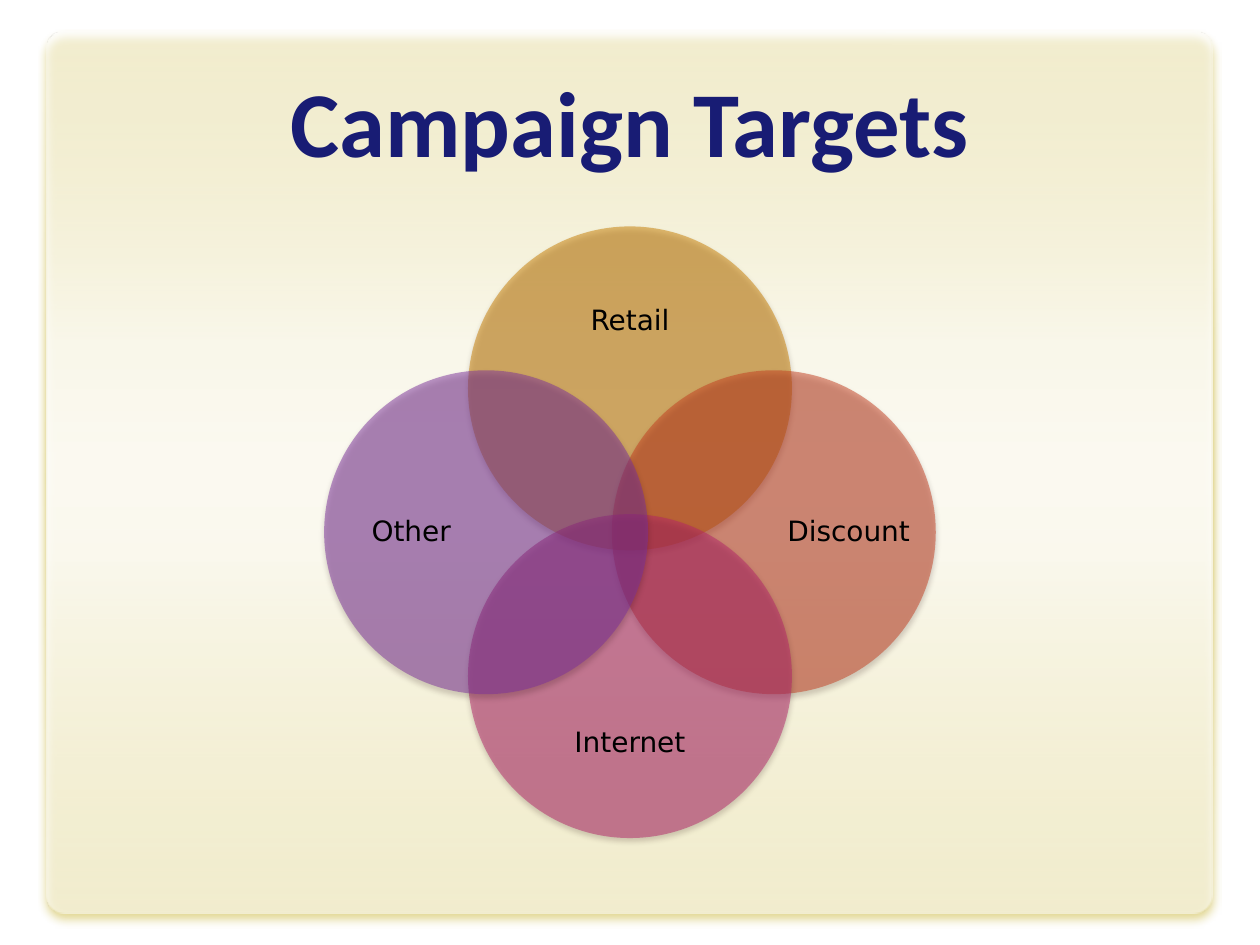
import pptx
import pptx.util
import pptx.dml.color
import pptx.enum.shapes
import pptx.enum.text
import pptx.oxml
import pptx.oxml.ns
from lxml import etree
from dataclasses import dataclass

Cm, Pt = pptx.util.Cm, pptx.util.Pt
RGB = pptx.dml.color.RGBColor.from_string
SHAPE = pptx.enum.shapes.MSO_SHAPE
ALIGN = pptx.enum.text.PP_ALIGN
ANCHOR = pptx.enum.text.MSO_ANCHOR
qn = pptx.oxml.ns.qn


@dataclass
class Theme:
    title_font: str = "Calibri"
    label_font: str = "DejaVu Sans"
    title_size: int = 53
    label_size: int = 16
    title: str = "181C74"
    label: str = "000000"
    panel: str = "FFFFFF"
    panel_shadow: tuple = ("C5AF25", 90, 5, 3.6)
    circle_shadow: tuple = ("1A0000", 35, 3.1, 2)
    circle_alpha: int = 50


# Content: label, colour, direction from the centre
TITLE = "Campaign Targets"
TARGETS = [
    ("Retail", "C77D00", (0, -1)),
    ("Discount", "C43D1F", (1, 0)),
    ("Internet", "B42469", (0, 1)),
    ("Other", "7B309B", (-1, 0)),
]
PANEL_STOPS = [(0, 50), (35, 87), (50, 92), (60, 89), (100, 55)]  # position, opacity

# Diagram geometry in cm
CENTER = (12.7, 10.73)
DIAMETER = 6.53
CIRCLE_OFFSET = 2.9
LABEL_OFFSET = (4.41, 4.25)
LABEL_LONG, LABEL_FLAT, LABEL_NARROW = 5.03, 2.08, 2.51

theme = Theme()


def set_alpha(color, percent):
    etree.SubElement(color, qn("a:alpha"), val=str(percent * 1000))


def add_shadow(sp, color, alpha, blur, dist):
    sp.shadow.inherit = False
    effects = sp._element.spPr.find(qn("a:effectLst"))
    shadow = etree.SubElement(effects, qn("a:outerShdw"), blurRad=str(Pt(blur)),
                              dist=str(Pt(dist)), dir="5400000",
                              algn="ctr", rotWithShape="0")
    set_alpha(etree.SubElement(shadow, qn("a:srgbClr"), val=color), alpha)


def centered(cx, cy, w, h):
    return Cm(cx - w / 2), Cm(cy - h / 2), Cm(w), Cm(h)


def write(tf, text, font, size, color, bold=False):
    tf.word_wrap = True
    tf.vertical_anchor = ANCHOR.MIDDLE
    p = tf.paragraphs[0]
    p.alignment = ALIGN.CENTER
    r = p.add_run()
    r.text = text
    r.font.name, r.font.size, r.font.bold = font, Pt(size), bold
    r.font.color.rgb = RGB(color)
    return p


def add_panel(s):
    sp = s.shapes.add_shape(SHAPE.ROUNDED_RECTANGLE, Cm(0.95), Cm(0.64), Cm(23.5), Cm(17.78))
    sp.adjustments[0] = 0.022
    sp.line.fill.background()
    sp.fill.gradient()
    sp.fill.gradient_angle = 270
    stops = sp._element.spPr.find(qn("a:gradFill")).find(qn("a:gsLst"))
    for stop in list(stops):
        stops.remove(stop)
    for pos, alpha in PANEL_STOPS:
        stop = etree.SubElement(stops, qn("a:gs"), pos=str(pos * 1000))
        set_alpha(etree.SubElement(stop, qn("a:srgbClr"), val=theme.panel), alpha)
    add_shadow(sp, *theme.panel_shadow)
    return sp


def add_target(group, text, color, direction):
    dx, dy = direction
    cx, cy = CENTER
    sp = group.shapes.add_shape(SHAPE.OVAL, *centered(
        cx + dx * CIRCLE_OFFSET, cy + dy * CIRCLE_OFFSET, DIAMETER, DIAMETER))
    sp.fill.solid()
    sp.fill.fore_color.rgb = RGB(color)
    set_alpha(sp._element.spPr.find(qn("a:solidFill"))[0], theme.circle_alpha)
    sp.line.fill.background()
    add_shadow(sp, *theme.circle_shadow)

    w, h = (LABEL_NARROW, LABEL_LONG) if dx else (LABEL_LONG, LABEL_FLAT)
    tb = group.shapes.add_textbox(*centered(
        cx + dx * LABEL_OFFSET[0], cy + dy * LABEL_OFFSET[1], w, h))
    tf = tb.text_frame
    tf.margin_left = tf.margin_right = tf.margin_top = tf.margin_bottom = 0
    p = write(tf, text, theme.label_font, theme.label_size, theme.label)
    p.line_spacing = 0.9


prs = pptx.Presentation()
prs.slide_width, prs.slide_height = Cm(25.4), Cm(19.05)
s = prs.slides.add_slide(prs.slide_layouts[5])

# Title, with the panel behind it
title = s.shapes.title
title.left, title.top, title.width, title.height = Cm(1.27), Cm(0.84), Cm(22.86), Cm(3.18)
write(title.text_frame, TITLE, theme.title_font, theme.title_size, theme.title, bold=True)
title._element.addprevious(add_panel(s)._element)

# Overlapping circles
diagram = s.shapes.add_group_shape()
for target in TARGETS:
    add_target(diagram, *target)

prs.save("out.pptx")
